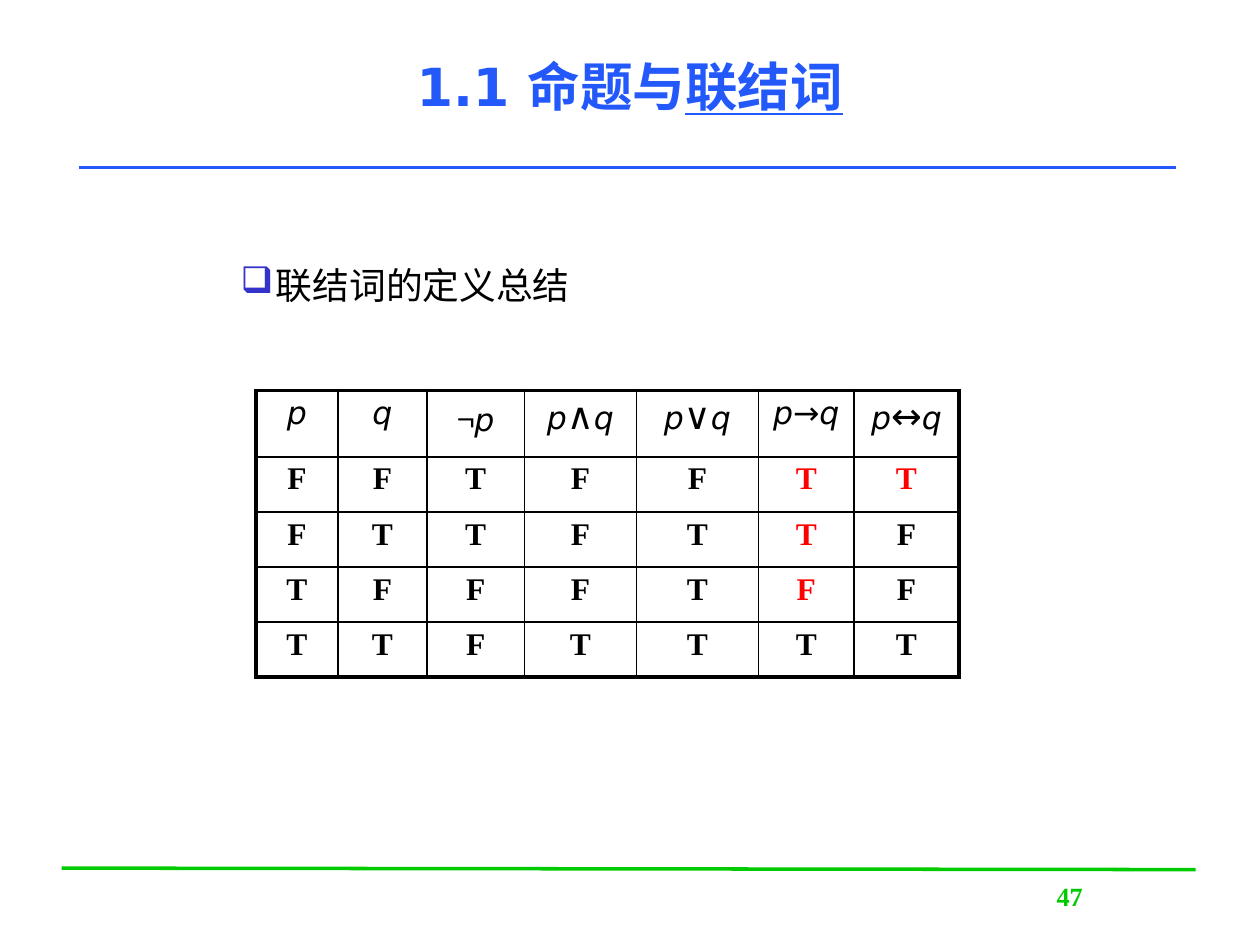
from lxml import etree
from pptx import Presentation
from pptx import util as u
from pptx.dml.color import RGBColor
from pptx.enum import shapes, text
from pptx.oxml import ns

COLORS = {"title": "2359FB", "footer": "00CB00", "bullet": "3333CC",
          "text": "000000", "accent": "FF0000"}
SANS, SERIF, CJK = "DejaVu Sans", "Times New Roman", "Noto Sans CJK SC"

TITLE = [("1.1 命题与", False), ("联结词", True)]
HEADING = "联结词的定义总结"
PAGE_NUMBER = "47"
HEADERS = ["p", "q", "¬p", "p∧q", "p∨q", "p→q", "p↔q"]
TRUTH_ROWS = ["FFTFFTT", "FTTFTTF", "TFFFTFF", "TTFTTTT"]
ACCENTED = {(1, 5), (1, 6), (2, 5), (3, 5)}
LARGE_SYMBOLS = "∧∨↔"

COLUMN_WIDTHS = [1.65, 1.8, 1.96, 2.26, 2.46, 1.93, 2.11]
ROW_HEIGHTS = [1.34] + [1.11] * len(TRUTH_ROWS)
TABLE_LEFT, TABLE_TOP = 5.16, 7.87
RULES = [("footer", 1.24, 17.5, 24.1, 17.53), ("title", 1.6, 3.38, 23.7, 3.38)]
THIN, THICK = 1, 2.25


def set_font(font, size, name, color, bold=False):
    font.size, font.name, font.bold = u.Pt(size), name, bold
    font.color.rgb = RGBColor.from_string(COLORS[color])


def add_rule(page, color, *ends):
    line = page.shapes.add_connector(shapes.MSO_CONNECTOR.STRAIGHT, *map(u.Cm, ends))
    line.line.color.rgb = RGBColor.from_string(COLORS[color])
    line.line.width = u.Pt(2)
    etree.SubElement(line._element.spPr, ns.qn("a:effectLst"))


def add_box(page, left, top, width, height, align):
    box = page.shapes.add_textbox(*map(u.Cm, (left, top, width, height)))
    box.text_frame.word_wrap = True
    para = box.text_frame.paragraphs[0]
    para.alignment = align
    return box.text_frame, para


def add_bullet(para, symbol, indent):
    props = para._p.get_or_add_pPr()
    props.set("marL", str(u.Cm(indent)))
    props.set("indent", str(u.Cm(-indent)))
    color = etree.SubElement(props, ns.qn("a:buClr"))
    etree.SubElement(color, ns.qn("a:srgbClr"), val=COLORS["bullet"])
    etree.SubElement(props, ns.qn("a:buChar"), char=symbol)


def set_borders(cell, widths):
    props = cell._tc.get_or_add_tcPr()
    for index, (side, width) in enumerate(widths.items()):
        line = etree.Element(ns.qn(f"a:ln{side}"), w=str(u.Pt(width)))
        fill = etree.SubElement(line, ns.qn("a:solidFill"))
        etree.SubElement(fill, ns.qn("a:srgbClr"), val=COLORS["text"])
        props.insert(index, line)


def fill_cell(cell, content, row, column):
    para = cell.text_frame.paragraphs[0]
    para.alignment = text.PP_ALIGN.CENTER
    if row:
        para.text = content
        color = "accent" if (row, column) in ACCENTED else "text"
        set_font(para.font, 18, SERIF, color, bold=True)
        return
    for symbol in content:
        span = para.add_run()
        span.text = symbol
        set_font(span.font, 21 if symbol in LARGE_SYMBOLS else 18,
                 CJK if symbol == "¬" else SANS, "text")
        span.font.italic = symbol in "pq"


def add_truth_table(page):
    rows = [HEADERS] + TRUTH_ROWS
    last_row, last_column = len(rows) - 1, len(HEADERS) - 1
    frame = page.shapes.add_table(
        len(rows), len(HEADERS), u.Cm(TABLE_LEFT), u.Cm(TABLE_TOP),
        u.Cm(sum(COLUMN_WIDTHS)), u.Cm(sum(ROW_HEIGHTS)))
    table = frame.table
    table.first_row = table.horz_banding = False
    for column, width in zip(table.columns, COLUMN_WIDTHS):
        column.width = u.Cm(width)
    for row, height in zip(table.rows, ROW_HEIGHTS):
        row.height = u.Cm(height)
    for i, contents in enumerate(rows):
        for j, content in enumerate(contents):
            cell = table.cell(i, j)
            cell.margin_left = cell.margin_right = u.Cm(0.18)
            cell.margin_top = cell.margin_bottom = u.Cm(0.1)
            cell.fill.background()
            fill_cell(cell, content, i, j)
            set_borders(cell, {"L": THICK if j == 0 else THIN,
                               "R": THICK if j == last_column else THIN,
                               "T": THICK if i == 0 else THIN,
                               "B": THICK if i == last_row else THIN})


def main():
    deck = Presentation()
    deck.slide_width, deck.slide_height = u.Cm(25.4), u.Cm(19.05)
    page = deck.slides.add_slide(deck.slide_layouts[6])

    for rule in RULES:
        add_rule(page, *rule)

    frame, para = add_box(page, 19.56, 17.65, 4.01, 1.27, text.PP_ALIGN.CENTER)
    frame.margin_top = u.Cm(0.1)
    para.text = PAGE_NUMBER
    set_font(para.font, 15, SERIF, "footer", bold=True)

    frame, para = add_box(page, 1.9, 0.13, 21.59, 3.17, text.PP_ALIGN.CENTER)
    frame.vertical_anchor = text.MSO_ANCHOR.MIDDLE
    set_font(para.font, 30, SANS, "title", bold=True)
    for words, underlined in TITLE:
        span = para.add_run()
        span.text = words
        set_font(span.font, 30, SANS, "title", bold=True)
        span.font.underline = underlined

    frame, para = add_box(page, 4.6, 5.18, 16.48, 10.21, text.PP_ALIGN.LEFT)
    para.text = HEADING
    add_bullet(para, "❑", 0.71)
    set_font(para.font, 21, SERIF, "text")

    add_truth_table(page)
    deck.save("out.pptx")


if __name__ == "__main__":
    main()
